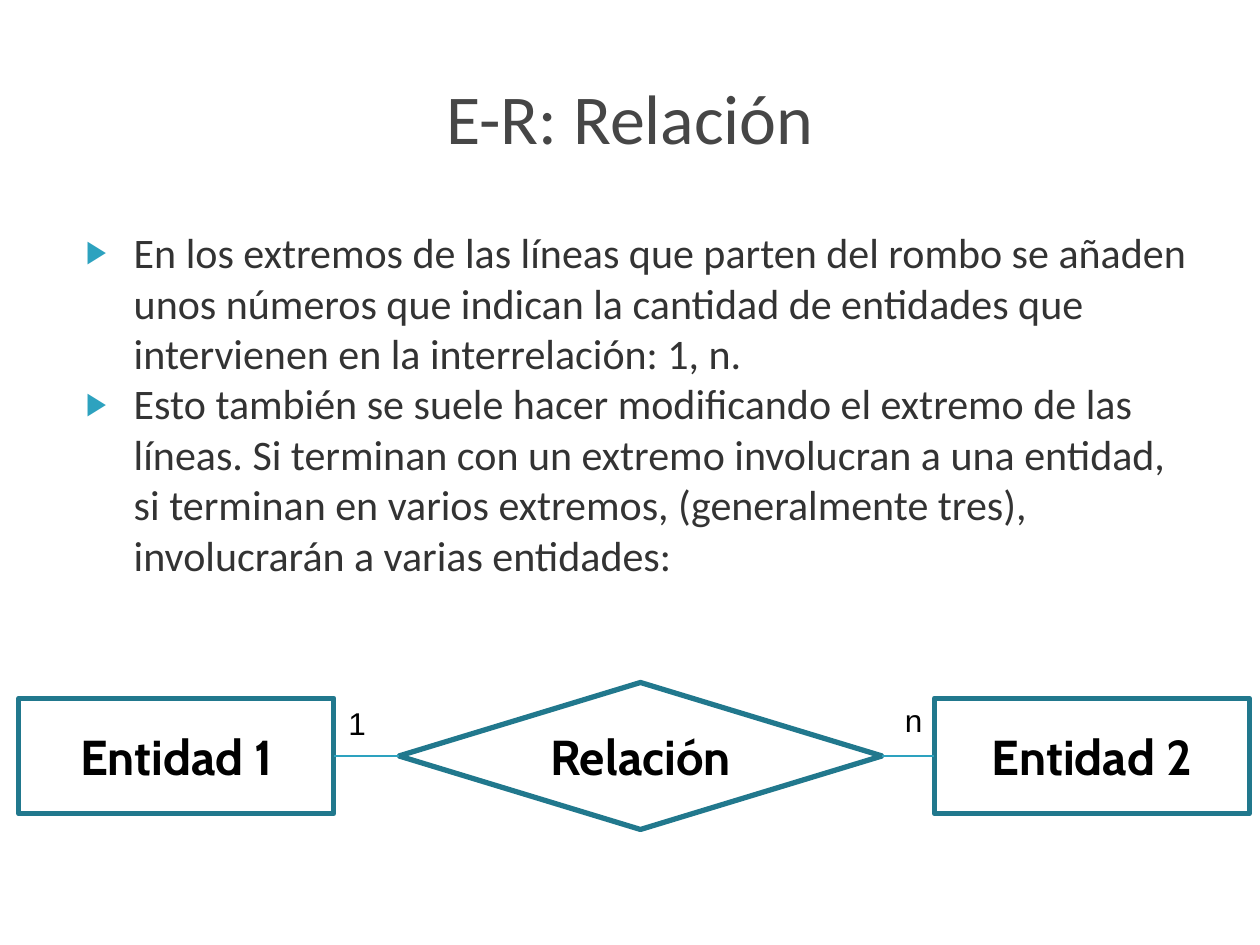
from dataclasses import dataclass

from lxml import etree
from pptx import Presentation
from pptx.dml.color import RGBColor
from pptx.enum.shapes import MSO_CONNECTOR, MSO_SHAPE
from pptx.enum.text import MSO_ANCHOR, MSO_AUTO_SIZE, PP_ALIGN
from pptx.oxml.ns import qn
from pptx.util import Inches, Pt

STRAIGHT = MSO_CONNECTOR.STRAIGHT
RECTANGLE = MSO_SHAPE.RECTANGLE
DECISION = MSO_SHAPE.FLOWCHART_DECISION
MIDDLE, TOP = MSO_ANCHOR.MIDDLE, MSO_ANCHOR.TOP
CENTER, LEFT = PP_ALIGN.CENTER, PP_ALIGN.LEFT
NO_FIT, GROW = MSO_AUTO_SIZE.NONE, MSO_AUTO_SIZE.SHAPE_TO_FIT_TEXT
TITLE_ONLY = 5

# The slide is a grid of 120 columns by 90 rows, twelve to the inch
COLUMNS, ROWS = 120, 90
CELL = Inches(1) // 12
AXIS_ROW = 72


@dataclass(frozen=True)
class TextStyle:
    font: str
    size: int
    color: str
    bold: bool = False


@dataclass(frozen=True)
class Theme:
    title: TextStyle = TextStyle("Calibri", 40, "464646")
    body: TextStyle = TextStyle("Calibri", 24, "333333")
    node: TextStyle = TextStyle("Cabin", 28, "000000", True)
    label: TextStyle = TextStyle("Arial", 18, "000000")
    paper: str = "FFFFFF"
    outline: str = "21788D"
    accent: str = "2DA2BF"
    outline_width: int = 3
    link_width: int = 1
    bullet_percent: int = 75
    bullet_indent: float = 0.38


@dataclass(frozen=True)
class Area:
    column: float
    row: float
    columns: float
    rows: float

    def emu(self) -> list[int]:
        return [grid(n) for n in (self.column, self.row, self.columns, self.rows)]


@dataclass(frozen=True)
class Node:
    text: str
    preset: int
    column: float
    columns: float
    rows: float

    @property
    def end(self) -> float:
        return self.column + self.columns


@dataclass(frozen=True)
class Label:
    text: str
    area: Area


THEME = Theme()
TITLE = "E-R: Relación"
TITLE_AREA = Area(6, 3.6, 108, 15)
BODY_AREA = Area(7, 21, 108, 59.4)
BULLETS = (
    "En los extremos de las líneas que parten del rombo se añaden unos números "
    "que indican la cantidad de entidades que intervienen en la interrelación: 1, n.",
    "Esto también se suele hacer modificando el extremo de las líneas. Si terminan "
    "con un extremo involucran a una entidad, si terminan en varios extremos, "
    "(generalmente tres), involucrarán a varias entidades:",
)
NODES = (
    Node("Entidad 1", RECTANGLE, 1.8, 30, 11),
    Node("Relación", DECISION, 38, 46, 14),
    Node("Entidad 2", RECTANGLE, 89, 30, 11),
)
LABELS = (
    Label("1", Area(32, 66.5, 4.2, 4.8)),
    Label("n", Area(85, 66.2, 3.2, 4.8)),
)


def grid(cells: float) -> int:
    return round(cells * CELL)


def rgb(color: str) -> RGBColor:
    return RGBColor.from_string(color)


def write(frame, lines, style: TextStyle, align=LEFT, anchor=TOP) -> None:
    """Fill a text frame with one paragraph per line."""
    frame.text = "\n".join(lines)
    frame.vertical_anchor = anchor
    for para in frame.paragraphs:
        para.alignment = align
        para.font.name = style.font
        para.font.size = Pt(style.size)
        para.font.bold = style.bold
        para.font.color.rgb = rgb(style.color)


def add_bullet(para) -> None:
    properties = para._p.get_or_add_pPr()
    indent = Inches(THEME.bullet_indent)
    properties.set("marL", str(indent))
    properties.set("indent", str(-indent))
    color = etree.Element(qn("a:buClr"))
    etree.SubElement(color, qn("a:srgbClr"), val=THEME.accent)
    size = etree.Element(qn("a:buSzPct"), val=str(THEME.bullet_percent * 1000))
    font = etree.Element(qn("a:buFont"), typeface="Arial")
    mark = etree.Element(qn("a:buChar"), char="▶")
    # Bullet settings come before the default run properties
    for position, element in enumerate((color, size, font, mark)):
        properties.insert(position, element)


def add_title(page) -> None:
    title = page.shapes.title
    title.left, title.top, title.width, title.height = TITLE_AREA.emu()
    write(title.text_frame, [TITLE], THEME.title, CENTER, MIDDLE)
    title.text_frame.auto_size = NO_FIT


def add_body(page) -> None:
    frame = page.shapes.add_textbox(*BODY_AREA.emu()).text_frame
    frame.word_wrap = True
    write(frame, BULLETS, THEME.body)
    for para in frame.paragraphs:
        add_bullet(para)


def add_node(page, node: Node) -> None:
    area = Area(node.column, AXIS_ROW - node.rows / 2, node.columns, node.rows)
    shape = page.shapes.add_shape(node.preset, *area.emu())
    shape.shadow.inherit = False
    shape.fill.solid()
    shape.fill.fore_color.rgb = rgb(THEME.paper)
    shape.line.color.rgb = rgb(THEME.outline)
    shape.line.width = Pt(THEME.outline_width)
    write(shape.text_frame, [node.text], THEME.node, CENTER, MIDDLE)


def add_link(page, start: Node, stop: Node) -> None:
    y = grid(AXIS_ROW)
    link = page.shapes.add_connector(STRAIGHT, grid(start.end), y, grid(stop.column), y)
    link.line.color.rgb = rgb(THEME.accent)
    link.line.width = Pt(THEME.link_width)
    etree.SubElement(link._element.spPr, qn("a:effectLst"))


def add_label(page, label: Label) -> None:
    frame = page.shapes.add_textbox(*label.area.emu()).text_frame
    frame.word_wrap = False
    frame.auto_size = GROW
    write(frame, [label.text], THEME.label)


def main() -> None:
    deck = Presentation()
    deck.slide_width, deck.slide_height = grid(COLUMNS), grid(ROWS)
    page = deck.slides.add_slide(deck.slide_layouts[TITLE_ONLY])

    # Title and explanation
    add_title(page)
    add_body(page)

    # Entity-relationship diagram
    for node in NODES:
        add_node(page, node)
    for start, stop in zip(NODES, NODES[1:]):
        add_link(page, start, stop)
    for label in LABELS:
        add_label(page, label)

    deck.save("out.pptx")


if __name__ == "__main__":
    main()
